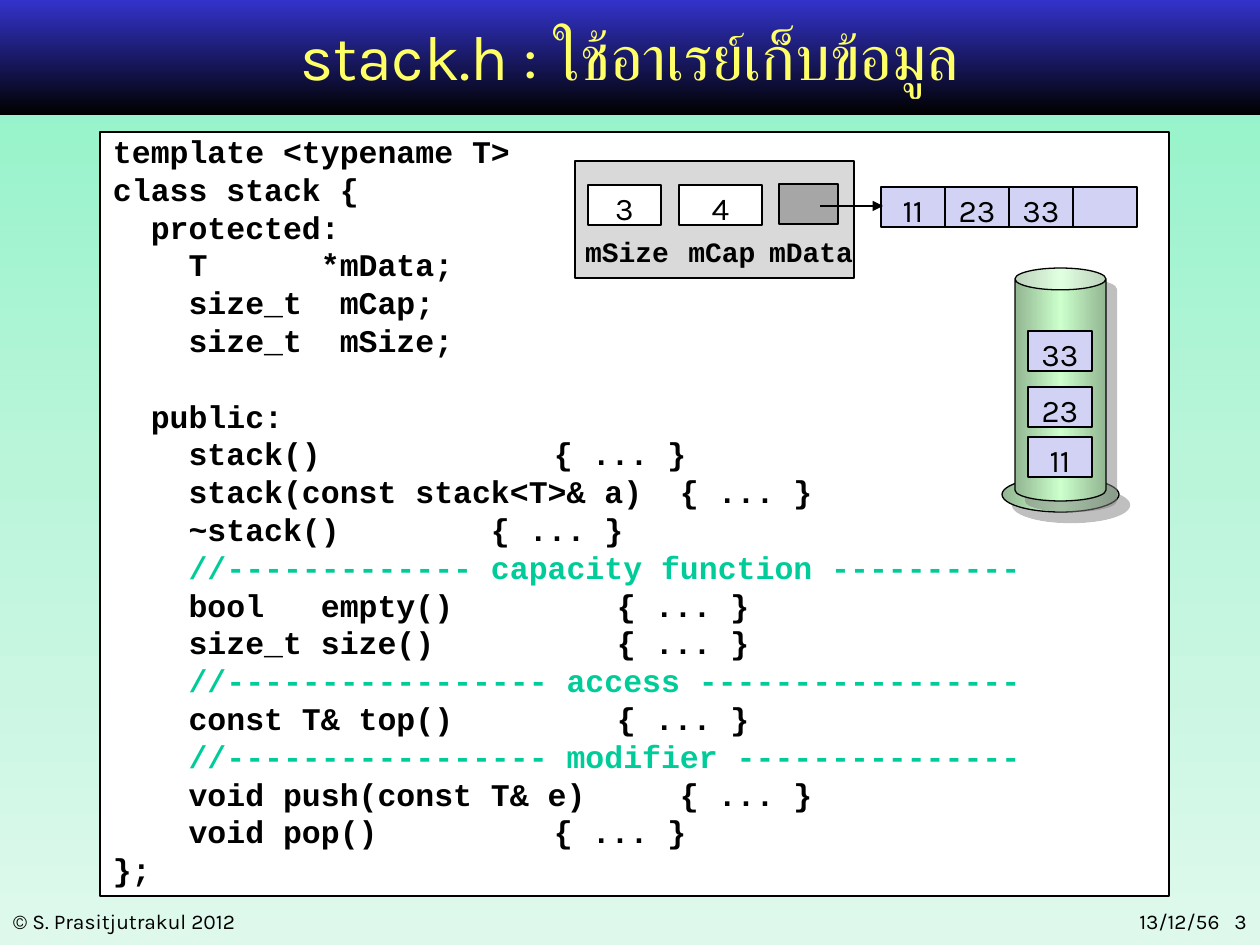
"""Build the slide that shows the stack class stored in an array."""
from lxml import etree
from pptx import Presentation
from pptx import util as u
from pptx.dml.color import RGBColor
from pptx.enum import shapes, text
from pptx.oxml import ns

THEME = {
    "black": "000000", "white": "FFFFFF", "title": "FFFF66", "comment": "00CC99",
    "object": "D9D9D9", "pointer": "A6A6A6", "cell": "D2D2F4", "shadow": "808080",
    "backdrop": ("8CF2C6", "BAF5DA", "DEF9EC"), "header": ("3333CC", "000000"),
    "tube": ("92B692", "CCFFCC", "92B692"),
    "code_font": "Courier New", "body_font": "Karla",
    "title_size": 36, "code_size": 18, "label_size": 16, "footer_size": 12,
}
TITLE = "stack.h : ใช้อาเรย์เก็บข้อมูล"
FOOTERS = [("© S. Prasitjutrakul 2012", 0, 410, "LEFT"), ("13/12/56   3", 987, 273, "RIGHT")]
DECLARATIONS = [
    "template <typename T>",
    "class stack {",
    "  protected:",
    "    T      *mData;",
    "    size_t  mCap;",
    "    size_t  mSize;",
]
METHODS = [
    "  public:",
    "    stack() \t\t\t\t{ ... }",
    "    stack(const stack<T>& a) \t{ ... }",
    "    ~stack() \t\t\t{ ... }",
    "    //------------- capacity function ----------",
    "    bool   empty() \t\t\t{ ... }",
    "    size_t size() \t\t\t{ ... }",
    "    //----------------- access -----------------",
    "    const T& top()\t\t\t{ ... }",
    "    //----------------- modifier ---------------",
    "    void push(const T& e)\t\t{ ... }",
    "    void pop() \t\t\t{ ... }",
    "};",
]
FIELDS = [
    ("mSize", "3", "white", (588, 185, 73, 40), (573, 108)),
    ("mCap", "4", "white", (679, 185, 83, 40), (678, 88)),
    ("mData", "", "pointer", (779, 184, 59, 40), (756, 110)),
]
ARRAY = ["11", "23", "33", ""]
STACKED = [("11", 437), ("23", 387), ("33", 331)]
CELL_W, CELL_H = 64, 40


def px(value):
    return u.Emu(round(value * 914400 / 126))


def gradient(fill, element, colours, angle):
    fill.gradient()
    fill.gradient_angle = angle
    stops = element.find(".//" + ns.qn("a:gsLst"))
    for stop in list(stops):
        stops.remove(stop)
    for index, colour in enumerate(colours):
        place = str(index * 100000 // (len(colours) - 1))
        stop = etree.SubElement(stops, ns.qn("a:gs"), pos=place)
        etree.SubElement(stop, ns.qn("a:srgbClr"), val=colour)


def write(box, lines, size="code_size", font="body_font", colour="black", bold=False,
          align="CENTER", anchor="MIDDLE", insets=(0, 0), spacing=None, after=None):
    frame = box.text_frame
    frame.word_wrap = True
    frame.vertical_anchor = text.MSO_ANCHOR[anchor]
    frame.margin_left = frame.margin_right = px(insets[0])
    frame.margin_top = frame.margin_bottom = px(insets[1])
    for index, line in enumerate(lines):
        para = frame.paragraphs[0] if index == 0 else frame.add_paragraph()
        para.alignment = text.PP_ALIGN[align]
        if spacing:
            para.line_spacing = spacing
        if after:
            para.space_after = u.Pt(after)
        span = para.add_run()
        span.text = line
        span.font.name, span.font.size, span.font.bold = THEME[font], u.Pt(THEME[size]), bold
        shade = "comment" if line.lstrip().startswith("//") else colour
        span.font.color.rgb = RGBColor.from_string(THEME[shade])


def add_box(page, kind, place, fill, angle=0, outlined=True, shadow=False):
    box = page.shapes.add_shape(shapes.MSO_SHAPE[kind], *map(px, place))
    box.shadow.inherit = False
    if isinstance(THEME[fill], tuple):
        gradient(box.fill, box._element, THEME[fill], angle)
    else:
        box.fill.solid()
        box.fill.fore_color.rgb = RGBColor.from_string(THEME[fill])
    if outlined:
        box.line.color.rgb = RGBColor.from_string(THEME["black"])
        box.line.width = u.Pt(0.75)
    else:
        box.line.fill.background()
    if shadow:
        effects = box._element.spPr.find(ns.qn("a:effectLst"))
        outer = etree.SubElement(effects, ns.qn("a:outerShdw"), dist=str(u.Pt(8.5)),
                                 dir="2700000", algn="ctr", rotWithShape="0")
        tint = etree.SubElement(outer, ns.qn("a:srgbClr"), val=THEME["shadow"])
        etree.SubElement(tint, ns.qn("a:alpha"), val="50000")
    return box


def add_cell(page, value, place, fill="cell"):
    cell = add_box(page, "RECTANGLE", place, fill)
    if value:
        write(cell, [value], spacing=1.15, after=10)


def add_arrow(page, start, end, y):
    arrow = page.shapes.add_connector(shapes.MSO_CONNECTOR.STRAIGHT,
                                      px(start), px(y), px(end), px(y))
    arrow.line.color.rgb = RGBColor.from_string(THEME["black"])
    arrow.line.width = u.Pt(0.75)
    etree.SubElement(arrow.line._get_or_add_ln(), ns.qn("a:tailEnd"), type="triangle")
    etree.SubElement(arrow._element.spPr, ns.qn("a:effectLst"))


def add_frame(page):
    backdrop = page.background.fill
    gradient(backdrop, page._element, THEME["backdrop"], 270)
    add_box(page, "RECTANGLE", (0, 0, 1260, 115), "header", angle=270, outlined=False)
    for line, left, width, align in FOOTERS:
        footer = page.shapes.add_textbox(*map(px, (left, 903, width, 38)))
        write(footer, [line], size="footer_size", align=align, anchor="TOP", insets=(13, 6))
    title = page.shapes.title
    title.left, title.top, title.width, title.height = map(px, (94, 3, 1071, 105))
    write(title, [TITLE], size="title_size", colour="title", insets=(13, 6))
    title._element.getparent().append(title._element)


def add_code(page):
    panel = add_box(page, "RECTANGLE", (100, 132, 1069, 764), "white")
    write(panel, DECLARATIONS + METHODS, font="code_font", bold=True, align="LEFT",
          anchor="TOP", insets=(13, 0))
    public = panel.text_frame.paragraphs[len(DECLARATIONS)]
    public.space_before = u.Pt(21.6)


def add_object(page):
    add_box(page, "RECTANGLE", (575, 161, 279, 117), "object")
    for name, value, fill, place, (left, width) in FIELDS:
        add_cell(page, value, place, fill)
        label = page.shapes.add_textbox(*map(px, (left, 228, width, 42)))
        write(label, [name], size="label_size", font="code_font", bold=True,
              spacing=1.15, after=10)
    for index, value in enumerate(ARRAY):
        add_cell(page, value, (881 + index * CELL_W, 187, CELL_W, CELL_H))
    add_arrow(page, 820, 883, 206)


def add_tube(page):
    add_box(page, "OVAL", (1002, 477, 117, 35), "tube", shadow=True)
    tube = add_box(page, "CAN", (1015, 268, 91, 233), "tube", shadow=True)
    tube.adjustments[0] = 0.24
    for value, top in STACKED:
        add_cell(page, value, (1028, top, CELL_W, CELL_H))


def main():
    deck = Presentation()
    deck.slide_width, deck.slide_height = px(1260), px(945)
    page = deck.slides.add_slide(deck.slide_layouts[5])
    for add_part in (add_frame, add_code, add_object, add_tube):
        add_part(page)
    deck.save("out.pptx")


if __name__ == "__main__":
    main()
